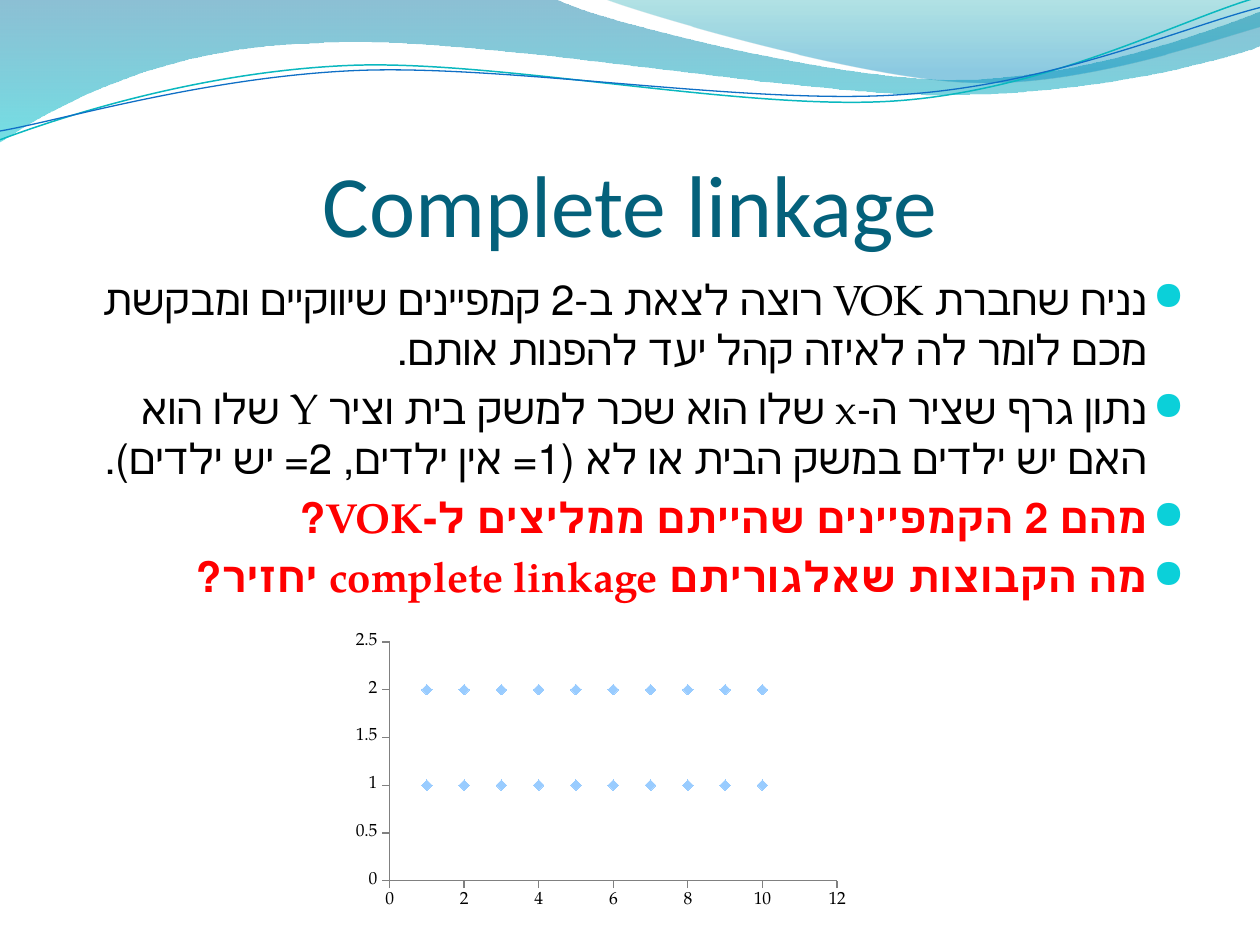
import dataclasses
import typing

import lxml.etree
import pptx
import pptx.chart.data
import pptx.dml.color
import pptx.enum.chart
import pptx.enum.text
import pptx.oxml.ns
import pptx.util

Inches, Pt, qn = pptx.util.Inches, pptx.util.Pt, pptx.oxml.ns.qn
Point = tuple[float, float]
Segment = tuple[Point, ...]  # one point: straight line; three points: cubic curve
BODY_FONT = "TeX Gyre Pagella"


class Stop(typing.NamedTuple):
    position: float
    colour: str
    opacity: int


@dataclasses.dataclass
class Wave:
    start: Point
    segments: list[Segment]
    stops: tuple[Stop, ...] = ()
    line_colour: str = ""
    line_width: float = 0


@dataclasses.dataclass
class Bullet:
    text: str
    format: dict[str, typing.Any]


WAVES = [
    Wave((0, 0), [
        ((4.4, -0.01),),
        ((4.76, 0.17), (6.64, 0.63), (7.58, 0.63)),
        ((8.53, 0.63), (9.58, 0.26), (10, 0.09)),
        ((10.01, 0.36),),
        ((9.83, 0.44), (8.7, 0.76), (7.46, 0.75)),
        ((6.22, 0.75), (3.82, 0.28), (2.57, 0.34)),
        ((1.29, 0.36), (0.46, 0.83), (-0.01, 1.13)),
    ], stops=(Stop(0, "0074A1", 45), Stop(1, "00C6CF", 55))),
    Wave((4.79, -0.01), [
        ((5.09, 0.11), (6.82, 0.62), (7.69, 0.65)),
        ((8.56, 0.69), (9.61, 0.32), (10, 0.21)),
        ((10, 0),),
    ], stops=(Stop(0, "00A1A9", 30), Stop(0.8, "008BBF", 45))),
    Wave((0, 1.11), [
        ((0.48, 0.93), (1.58, 0.57), (2.77, 0.52)),
        ((3.95, 0.47), (5.93, 0.89), (7.13, 0.8)),
        ((8.33, 0.71), (9.38, 0.15), (9.98, -0.02)),
    ], line_colour="0AB8BF", line_width=0.85),
    Wave((0, 1.04), [
        ((0.47, 0.96), (1.64, 0.61), (2.83, 0.56)),
        ((4.03, 0.51), (5.97, 0.84), (7.17, 0.75)),
        ((8.36, 0.67), (9.41, 0.21), (10, 0.06)),
    ], line_colour="0F6FC6", line_width=0.75),
]

TITLE_FORMAT = {"name": "Calibri", "size": Pt(50), "colour": "04617B"}
PLAIN = {"name": BODY_FONT, "size": Pt(24), "colour": "000000"}
QUESTION = PLAIN | {"colour": "FF0000", "bold": True}
BULLETS = [
    Bullet("נניח שחברת VOK רוצה לצאת ב-2 קמפיינים שיווקיים ומבקשת מכם לומר לה "
           "לאיזה קהל יעד להפנות אותם.", PLAIN),
    Bullet("נתון גרף שציר ה-x שלו הוא שכר למשק בית וציר Y שלו הוא האם יש ילדים "
           "במשק הבית או לא (1= אין ילדים, 2= יש ילדים).", PLAIN),
    Bullet("מהם 2 הקמפיינים שהייתם ממליצים ל-VOK?", QUESTION),
    Bullet("מה הקבוצות שאלגוריתם complete linkage יחזיר?", QUESTION),
]


def rgb(colour: str) -> pptx.dml.color.RGBColor:
    return pptx.dml.color.RGBColor.from_string(colour)


def add_element(parent, tag: str, **attributes: str):
    return lxml.etree.SubElement(parent, qn(tag), attributes)


def set_font(font, format_values: dict[str, typing.Any]) -> None:
    for attribute, value in format_values.items():
        if attribute == "colour":
            font.color.rgb = rgb(value)
        else:
            setattr(font, attribute, value)


def curve_segments(shape, segments: list[Segment]) -> None:
    """Turn each run of three control-point lines into one cubic curve."""
    lines = iter(list(shape._element.iter(qn("a:lnTo"))))
    for segment in segments:
        parts = [next(lines) for _ in segment]
        if len(parts) == 3:
            parts[0].tag = qn("a:cubicBezTo")
            for part in parts[1:]:
                parts[0].append(part[0])
                part.getparent().remove(part)


def draw_wave(slide, wave: Wave) -> None:
    builder = slide.shapes.build_freeform(*map(Inches, wave.start), scale=1.0)
    points = [(Inches(x), Inches(y)) for segment in wave.segments for x, y in segment]
    builder.add_line_segments(points, close=bool(wave.stops))
    shape = builder.convert_to_shape()
    curve_segments(shape, wave.segments)
    shape.shadow.inherit = False
    if not wave.stops:
        shape.fill.background()
        shape.line.color.rgb = rgb(wave.line_colour)
        shape.line.width = Pt(wave.line_width)
        return
    shape.line.fill.background()
    shape.fill.gradient()
    shape.fill.gradient_angle = 270
    for gradient_stop, stop in zip(shape.fill.gradient_stops, wave.stops):
        gradient_stop.position = stop.position
        gradient_stop.color.rgb = rgb(stop.colour)
    for colour, stop in zip(shape._element.spPr.iter(qn("a:srgbClr")), wave.stops):
        add_element(colour, "a:alpha", val=str(stop.opacity * 1000))


def add_text_frame(slide, left: float, top: float, width: float, height: float):
    frame = slide.shapes.add_textbox(*map(Inches, (left, top, width, height))).text_frame
    frame.word_wrap = True
    return frame


def draw_title(slide) -> None:
    frame = add_text_frame(slide, 0.5, 0.77, 9, 1.25)
    frame.margin_left = frame.margin_right = frame.margin_bottom = 0
    frame.vertical_anchor = pptx.enum.text.MSO_ANCHOR.BOTTOM
    title = frame.paragraphs[0]
    title.alignment = pptx.enum.text.PP_ALIGN.CENTER
    title._p.get_or_add_pPr().set("rtl", "1")
    run = title.add_run()
    run.text = "Complete linkage"
    set_font(run.font, TITLE_FORMAT)


def draw_bullets(slide) -> None:
    frame = add_text_frame(slide, 0.5, 2.12, 9, 4.8)
    for index, bullet in enumerate(BULLETS):
        paragraph = frame.add_paragraph() if index else frame.paragraphs[0]
        properties = paragraph._p.get_or_add_pPr()
        indent = Inches(0.3)
        for name, value in {"marL": indent, "indent": -indent, "rtl": 1}.items():
            properties.set(name, str(value))
        add_element(add_element(properties, "a:buClr"), "a:srgbClr", val="0BD0D9")
        add_element(properties, "a:buSzPct", val="95000")
        add_element(properties, "a:buChar", char="●")
        paragraph.alignment = pptx.enum.text.PP_ALIGN.RIGHT
        if index:
            paragraph.space_before = Pt(4.8)
        run = paragraph.add_run()
        run.text = bullet.text
        set_font(run.font, bullet.format)


def draw_households_chart(slide) -> None:
    data = pptx.chart.data.XyChartData()
    households = data.add_series("Series 1")
    for children in (1, 2):
        for salary in range(1, 11):
            households.add_data_point(salary, children)
    chart = slide.shapes.add_chart(
        pptx.enum.chart.XL_CHART_TYPE.XY_SCATTER,
        *map(Inches, (2.72, 4.93, 4.13, 2.37)), data).chart
    chart.has_legend = chart.has_title = False
    set_font(chart.font, {"name": BODY_FONT, "size": Pt(10), "colour": "000000"})

    for axis, maximum, unit in ((chart.category_axis, 12, 2), (chart.value_axis, 2.5, 0.5)):
        axis_format = {
            "minimum_scale": 0, "maximum_scale": maximum, "major_unit": unit,
            "has_major_gridlines": False,
            "major_tick_mark": pptx.enum.chart.XL_TICK_MARK.OUTSIDE,
        }
        for attribute, value in axis_format.items():
            setattr(axis, attribute, value)
        axis.format.line.color.rgb = rgb("808080")

    plot = chart.plots[0]
    plot.vary_by_categories = False
    dots = plot.series[0]
    dots.smooth = False
    dots.format.line.fill.background()
    dots.marker.style = pptx.enum.chart.XL_MARKER_STYLE.DIAMOND
    dots.marker.size = 6
    dots.marker.format.fill.solid()
    dots.marker.format.fill.fore_color.rgb = rgb("99CCFF")
    dots.marker.format.line.fill.background()

    plot_area = chart._chartSpace.chart.plotArea
    for old_layout in plot_area.findall(qn("c:layout")):
        plot_area.remove(old_layout)
    layout = lxml.etree.Element(qn("c:layout"))
    plot_area.insert(0, layout)
    manual = add_element(layout, "c:manualLayout")
    for name, value in {"layoutTarget": "inner", "xMode": "edge", "yMode": "edge",
                        "x": 0.09, "y": 0.07, "w": 0.86, "h": 0.8}.items():
        add_element(manual, f"c:{name}", val=str(value))


def main() -> None:
    presentation = pptx.Presentation()
    presentation.slide_width, presentation.slide_height = Inches(10), Inches(7.5)
    slide = presentation.slides.add_slide(presentation.slide_layouts[6])
    for wave in WAVES:
        draw_wave(slide, wave)
    draw_title(slide)
    draw_bullets(slide)
    draw_households_chart(slide)
    presentation.save("out.pptx")


if __name__ == "__main__":
    main()
